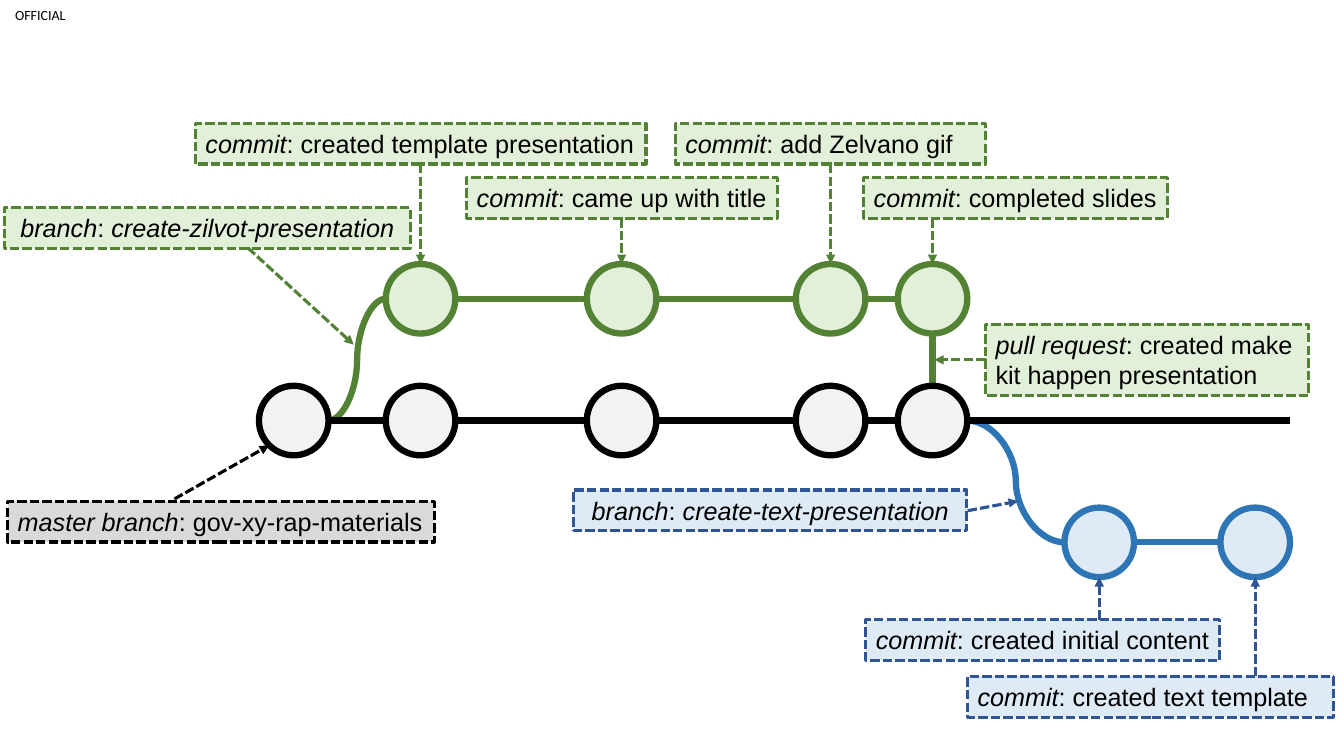
from lxml import etree
from pptx import Presentation
from pptx.dml.color import RGBColor
from pptx.enum import dml, shapes, text
from pptx.oxml import ns
from pptx.util import Pt

BLACK = RGBColor(0, 0, 0)
GREY = RGBColor(0xD9, 0xD9, 0xD9)
PALE = RGBColor(0xF2, 0xF2, 0xF2)
GREEN = RGBColor(0x54, 0x82, 0x35)
MINT = RGBColor(0xE2, 0xF0, 0xD9)
BLUE = RGBColor(0x2E, 0x75, 0xB6)
NAVY = RGBColor(0x2F, 0x55, 0x97)
SKY = RGBColor(0xDE, 0xEB, 0xF7)

SIZE = 49.7
HALF = SIZE / 2
MAIN_Y = 300.4
STEP = 87
TOP_Y = MAIN_Y - STEP
LOW_Y = MAIN_Y + STEP
MAIN = [209.8, 300.4, 444, 593.3, 666.1]
TOP = MAIN[1:]
LOW = [785.2, 896.6]
END_X = 921.5


def add_line(slide, start, end, color, width=4.5, curve=False):
    kind = shapes.MSO_CONNECTOR.CURVE if curve else shapes.MSO_CONNECTOR.STRAIGHT
    link = slide.shapes.add_connector(kind, *map(Pt, start + end))
    link.line.color.rgb = color
    link.line.width = Pt(width)
    etree.SubElement(link._element.spPr, ns.qn("a:effectLst"))
    return link


def add_arrow(slide, start, end, color):
    link = add_line(slide, start, end, color, 2.25)
    link.line.dash_style = dml.MSO_LINE.SQUARE_DOT
    tail = etree.SubElement(link.line._get_or_add_ln(), ns.qn("a:tailEnd"))
    tail.set("type", "triangle")


def add_shape(slide, kind, box, fill, color, width):
    shape = slide.shapes.add_shape(kind, *map(Pt, box))
    shape.shadow.inherit = False
    shape.fill.solid()
    shape.fill.fore_color.rgb = fill
    shape.line.color.rgb = color
    shape.line.width = Pt(width)
    return shape


def add_run(para, words, size, font, slant=False):
    run = para.add_run()
    run.text = words
    run.font.size = Pt(size)
    run.font.name = font
    run.font.italic = slant
    run.font.color.rgb = BLACK


def add_label(slide, box, fill, color, runs, center=False):
    shape = add_shape(slide, shapes.MSO_SHAPE.RECTANGLE, box, fill, color, 2.25)
    shape.line.dash_style = dml.MSO_LINE.SQUARE_DOT
    frame = shape.text_frame
    frame.word_wrap = True
    frame.auto_size = text.MSO_AUTO_SIZE.SHAPE_TO_FIT_TEXT
    frame.vertical_anchor = text.MSO_ANCHOR.TOP
    para = frame.paragraphs[0]
    para.alignment = text.PP_ALIGN.CENTER if center else text.PP_ALIGN.LEFT
    for i, words in enumerate(runs):
        add_run(para, words, 18, "Arial", i % 2 == 0)


def add_track(slide, xs, y, fill, color):
    for left, right in zip(xs, xs[1:]):
        add_line(slide, (left + HALF, y), (right - HALF, y), color)
    for x in xs:
        box = (x - HALF, y - HALF, SIZE, SIZE)
        add_shape(slide, shapes.MSO_SHAPE.OVAL, box, fill, color, 4.5)


def add_mark(slide):
    frame = slide.shapes.add_textbox(0, 0, Pt(57.6), Pt(21)).text_frame
    frame.margin_left = frame.margin_right = 0
    frame.margin_top = frame.margin_bottom = 0
    frame.word_wrap = True
    frame.vertical_anchor = text.MSO_ANCHOR.MIDDLE
    para = frame.paragraphs[0]
    para.alignment = text.PP_ALIGN.CENTER
    add_run(para, "OFFICIAL", 10, "Calibri")


def add_tree(slide):
    merge = MAIN[-1]
    add_line(slide, (merge + HALF, MAIN_Y), (LOW[0] - HALF, LOW_Y), BLUE, curve=True)
    add_line(slide, (merge, MAIN_Y - HALF), (merge, TOP_Y + HALF), GREEN)
    add_line(slide, (MAIN[0] + HALF, MAIN_Y), (TOP[0] - HALF, TOP_Y), GREEN, curve=True)
    add_line(slide, (merge + HALF, MAIN_Y), (END_X, MAIN_Y), BLACK)
    add_track(slide, MAIN, MAIN_Y, PALE, BLACK)
    add_track(slide, TOP, TOP_Y, MINT, GREEN)
    add_track(slide, LOW, LOW_Y, SKY, BLUE)


def add_notes(slide):
    high = 29.1
    commits = [
        (139.7, 88.1, 321.8, TOP[0], "created template presentation"),
        (333.4, 126.7, 221.8, TOP[1], "came up with title"),
        (482.4, 88.1, 221.8, TOP[2], "add Zelvano gif"),
        (617, 126.7, 216.7, TOP[3], "completed slides"),
        (618.5, 442.7, 252.7, LOW[0], "created initial content"),
        (691.2, 483.1, 261.4, LOW[1], "created text template"),
    ]
    for left, top, width, x, words in commits:
        above = top < MAIN_Y
        fill, color = (MINT, GREEN) if above else (SKY, NAVY)
        start = top + high if above else top
        end = TOP_Y - HALF if above else LOW_Y + HALF
        add_label(slide, (left, top, width, high), fill, color, ["commit", ": " + words])
        add_arrow(slide, (x, start), (x, end), color)

    add_label(slide, (5.6, 358.1, 304.6, high), GREY, BLACK,
              ["master branch", ": gov-xy-rap-materials"])
    add_arrow(slide, (124.6, 356.4), (192.2, 318.2), BLACK)
    add_label(slide, (3, 148.3, 290.2, high), MINT, GREEN,
              ["branch", ":", " create-zilvot-presentation"], True)
    add_arrow(slide, (177.1, 177.1), (252.7, 246.2), GREEN)
    add_label(slide, (409.7, 350, 281, high), SKY, NAVY,
              ["branch", ":", " create-text-presentation"], True)
    add_arrow(slide, (691.2, 364.8), (727.2, 358), NAVY)
    add_label(slide, (704, 231.6, 230.6, 50.9), MINT, GREEN,
              ["pull request", ": created make kit happen presentation"])
    add_arrow(slide, (704, 257), (667.4, 257), GREEN)


def main():
    deck = Presentation()
    deck.slide_width = Pt(960)
    deck.slide_height = Pt(540)
    slide = deck.slides.add_slide(deck.slide_layouts[6])
    add_mark(slide)
    add_tree(slide)
    add_notes(slide)
    deck.save("out.pptx")


if __name__ == "__main__":
    main()
